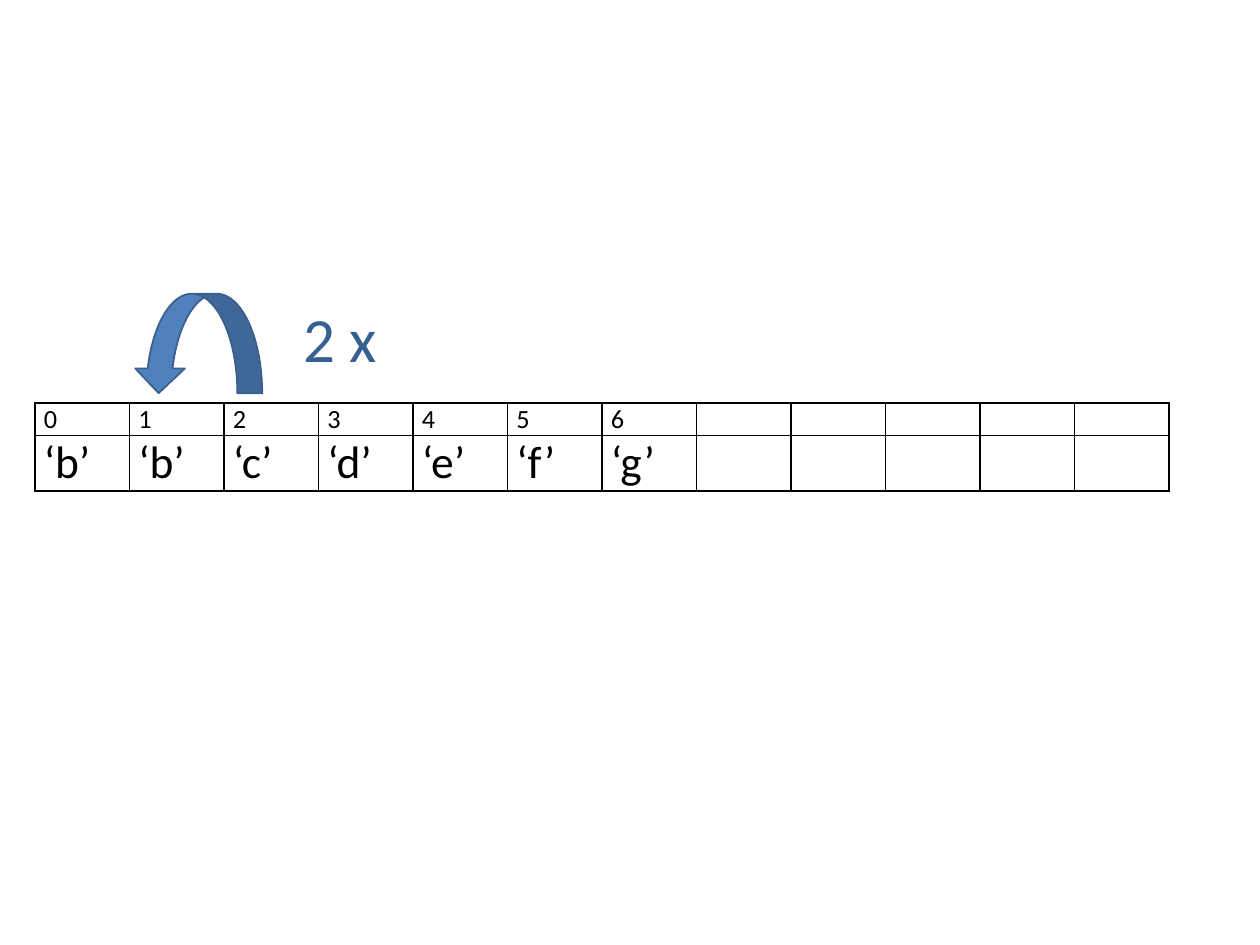
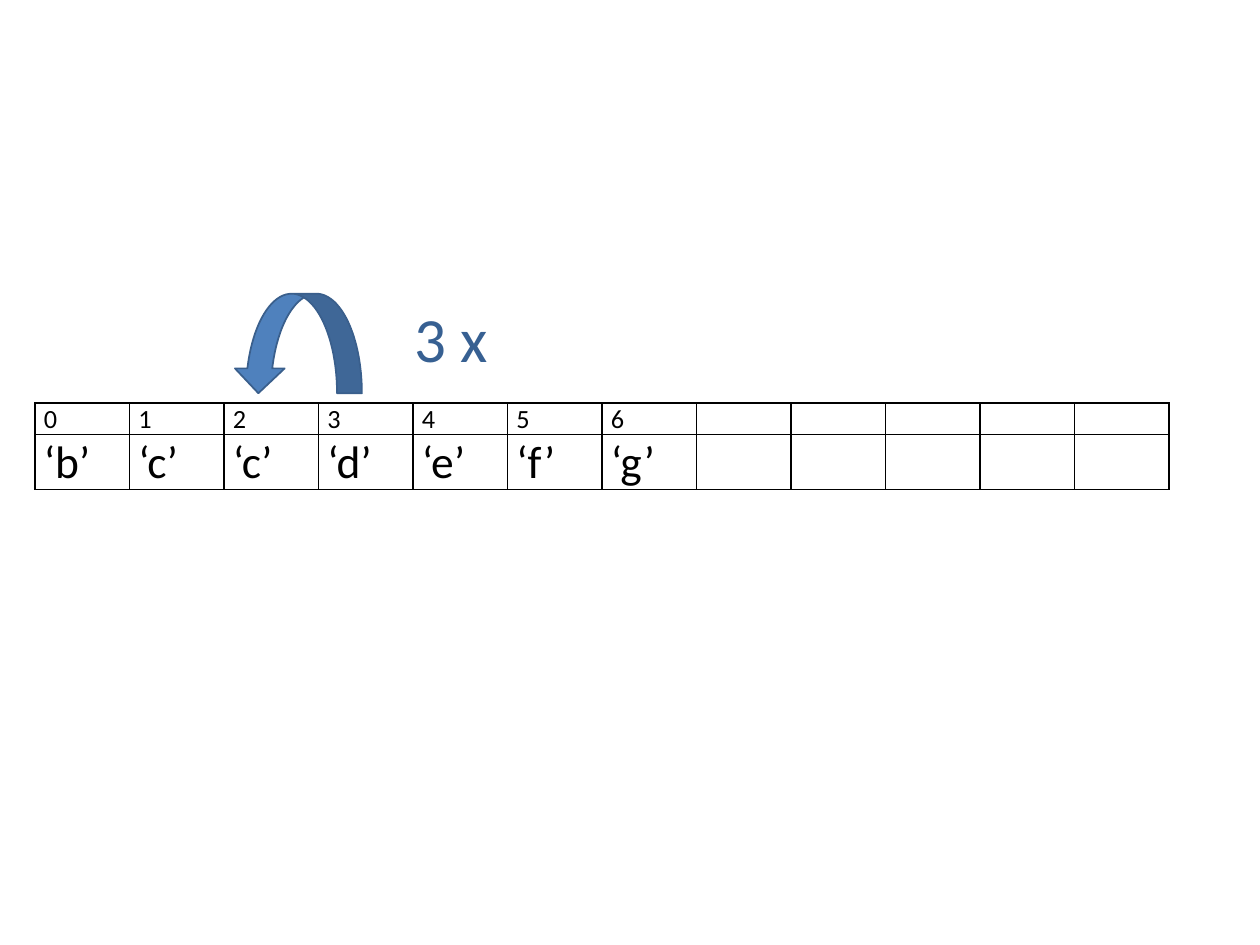
from dataclasses import dataclass

from lxml import etree
from pptx import Presentation
from pptx.dml import color
from pptx.enum import shapes, text
from pptx.oxml import ns
from pptx.util import Pt

FONT = "Calibri"
BLACK = "000000"
ARROW_FILL = "4F81BD"
ARROW_LINE = "3A5F8C"
LABEL_COLOR = "376092"

COLUMN_COUNT = 12
COLUMN_WIDTH = 54
TABLE_LEFT = 20
TABLE_TOP = 230.4
ROW_HEIGHTS = (18, 31)
ROW_SIZES = (15, 26)
STEP_TOP = 167.8


@dataclass(frozen=True)
class ShiftStep:
    letters: str
    arrow_left: float
    label: str
    label_left: float


STEPS = (
    ShiftStep("bbcdefg", 76.4, "2 x", 166.3),
    ShiftStep("bccdefg", 133.4, "3 x", 229.9),
)


def rgb(value: str) -> color.RGBColor:
    return color.RGBColor.from_string(value)


def add_span(para, content: str, size: float, hue: str) -> None:
    span = para.add_run()
    span.text = content
    span.font.name = FONT
    span.font.size = Pt(size)
    span.font.color.rgb = rgb(hue)


def add_borders(cell) -> None:
    properties = cell._tc.get_or_add_tcPr()
    for side in ("lnL", "lnR", "lnT", "lnB"):
        line = etree.SubElement(properties, ns.qn(f"a:{side}"), w=str(Pt(1)))
        fill = etree.SubElement(line, ns.qn("a:solidFill"))
        etree.SubElement(fill, ns.qn("a:srgbClr"), val=BLACK)


def fill_cell(cell, content: str, size: float) -> None:
    add_borders(cell)
    cell.fill.background()
    cell.margin_left = cell.margin_right = Pt(5)
    cell.margin_top = cell.margin_bottom = Pt(0)
    para = cell.text_frame.paragraphs[0]
    if content:
        add_span(para, content, size, BLACK)
    else:
        etree.SubElement(para._p, ns.qn("a:endParaRPr"), sz=str(size * 100))


def add_array(page, letters: str) -> None:
    frame = page.shapes.add_table(
        len(ROW_HEIGHTS), COLUMN_COUNT, Pt(TABLE_LEFT), Pt(TABLE_TOP),
        Pt(COLUMN_COUNT * COLUMN_WIDTH), Pt(sum(ROW_HEIGHTS)),
    )
    table = frame.table
    table.first_row = False
    table.horz_banding = False
    for column in table.columns:
        column.width = Pt(COLUMN_WIDTH)
    indexes = [str(index) for index in range(len(letters))]
    values = [f"‘{letter}’" for letter in letters]
    for row, height, size, contents in zip(
        table.rows, ROW_HEIGHTS, ROW_SIZES, (indexes, values)
    ):
        row.height = Pt(height)
        padding = [""] * (COLUMN_COUNT - len(contents))
        for cell, content in zip(row.cells, contents + padding):
            fill_cell(cell, content, size)


def add_shift_arrow(page, left: float) -> None:
    arrow = page.shapes.add_shape(
        shapes.MSO_SHAPE.CURVED_UP_ARROW, Pt(left), Pt(STEP_TOP), Pt(73.4), Pt(56.9)
    )
    arrow.rotation = 180
    arrow.shadow.inherit = False
    arrow.fill.solid()
    arrow.fill.fore_color.rgb = rgb(ARROW_FILL)
    arrow.line.color.rgb = rgb(ARROW_LINE)
    arrow.line.width = Pt(1)


def add_label(page, content: str, left: float) -> None:
    box = page.shapes.add_textbox(Pt(left), Pt(STEP_TOP), Pt(56.9), Pt(51))
    box.text_frame.word_wrap = False
    box.text_frame.auto_size = text.MSO_AUTO_SIZE.SHAPE_TO_FIT_TEXT
    add_span(box.text_frame.paragraphs[0], content, 36, LABEL_COLOR)


def main() -> None:
    deck = Presentation()
    deck.slide_width = Pt(720)
    deck.slide_height = Pt(540)
    for step in STEPS:
        page = deck.slides.add_slide(deck.slide_layouts[6])
        add_array(page, step.letters)
        add_shift_arrow(page, step.arrow_left)
        add_label(page, step.label, step.label_left)
    deck.save("out.pptx")


if __name__ == "__main__":
    main()
